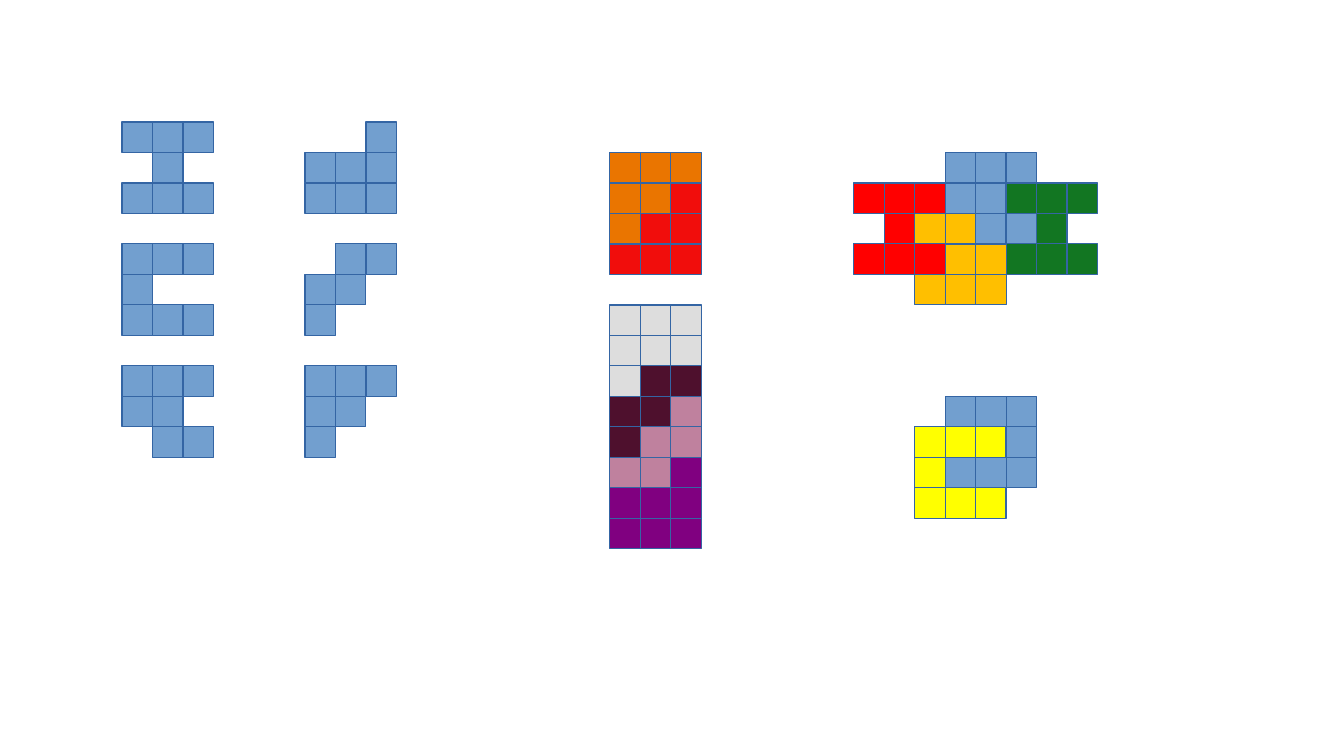
from pptx import Presentation
from pptx import util as u
from pptx.dml import color
from pptx.enum import shapes

CELL = 0.25
BLUE, OUTLINE = "729FCF", "3465A4"

PIECES = {
    "beam": ("###", ".#.", "###"),
    "bracket": ("###", "#..", "###"),
    "hook": ("###", "##.", ".##"),
    "chair": ("..#", "###", "###"),
    "stair": (".##", "##.", "#.."),
    "corner": ("###", "##.", "#.."),
}


def rgb(hex_color):
    return color.RGBColor.from_string(hex_color)


def draw_piece(parent, name, left, top, fill=BLUE, turned=False):
    """Draw one piece as square cells; a turned piece is rotated half a turn."""
    rows = PIECES[name]
    if turned:
        rows = [row[::-1] for row in reversed(rows)]
    for r, row in enumerate(rows):
        for c, mark in enumerate(row):
            if mark != "#":
                continue
            cell = parent.add_shape(
                shapes.MSO_SHAPE.RECTANGLE,
                u.Inches(left + c * CELL), u.Inches(top + r * CELL),
                u.Inches(CELL), u.Inches(CELL))
            cell.shadow.inherit = False
            cell.fill.solid()
            cell.fill.fore_color.rgb = rgb(fill)
            cell.line.color.rgb = rgb(OUTLINE)
            cell.line.width = u.Pt(0)
            cell.rotation = 180 if turned else 0


def draw_catalogue(slide, left, top):
    """Lay out the six single pieces in two columns of three."""
    for i, name in enumerate(PIECES):
        column, row = divmod(i, 3)
        draw_piece(slide.shapes, name, left + column * 6 * CELL, top + row * 4 * CELL)


def draw_assembly(slide, left, top, parts):
    """Fit grouped pieces together; each part gives its column and row in cells."""
    for name, column, row, fill, turned in parts:
        group = slide.shapes.add_group_shape()
        draw_piece(group.shapes, name, left + column * CELL, top + row * CELL, fill, turned)


def main():
    deck = Presentation()
    deck.slide_width, deck.slide_height = u.Inches(11.02), u.Inches(6.2)
    slide = deck.slides.add_slide(deck.slide_layouts[6])

    draw_catalogue(slide, 1, 1)
    draw_assembly(slide, 7.5, 3.25, [
        ("bracket", 0, 1, "FFFF00", False),
        ("bracket", 1, 0, BLUE, True),
    ])
    draw_assembly(slide, 7, 1.25, [
        ("hook", 3, 0, BLUE, False),
        ("hook", 2, 2, "FFBF00", True),
        ("beam", 0, 1, "FF0000", False),
        ("beam", 5, 1, "127622", False),
    ])
    draw_assembly(slide, 5, 1.25, [
        ("corner", 0, 0, "EA7500", False),
        ("corner", 0, 1, "F10D0C", True),
    ])
    draw_assembly(slide, 5, 2.5, [
        ("chair", 0, 5, "800080", False),
        ("chair", 0, 0, "DDDDDD", True),
        ("stair", 0, 2, "4E102D", False),
        ("stair", 0, 3, "BF819E", True),
    ])
    deck.save("out.pptx")


if __name__ == "__main__":
    main()
